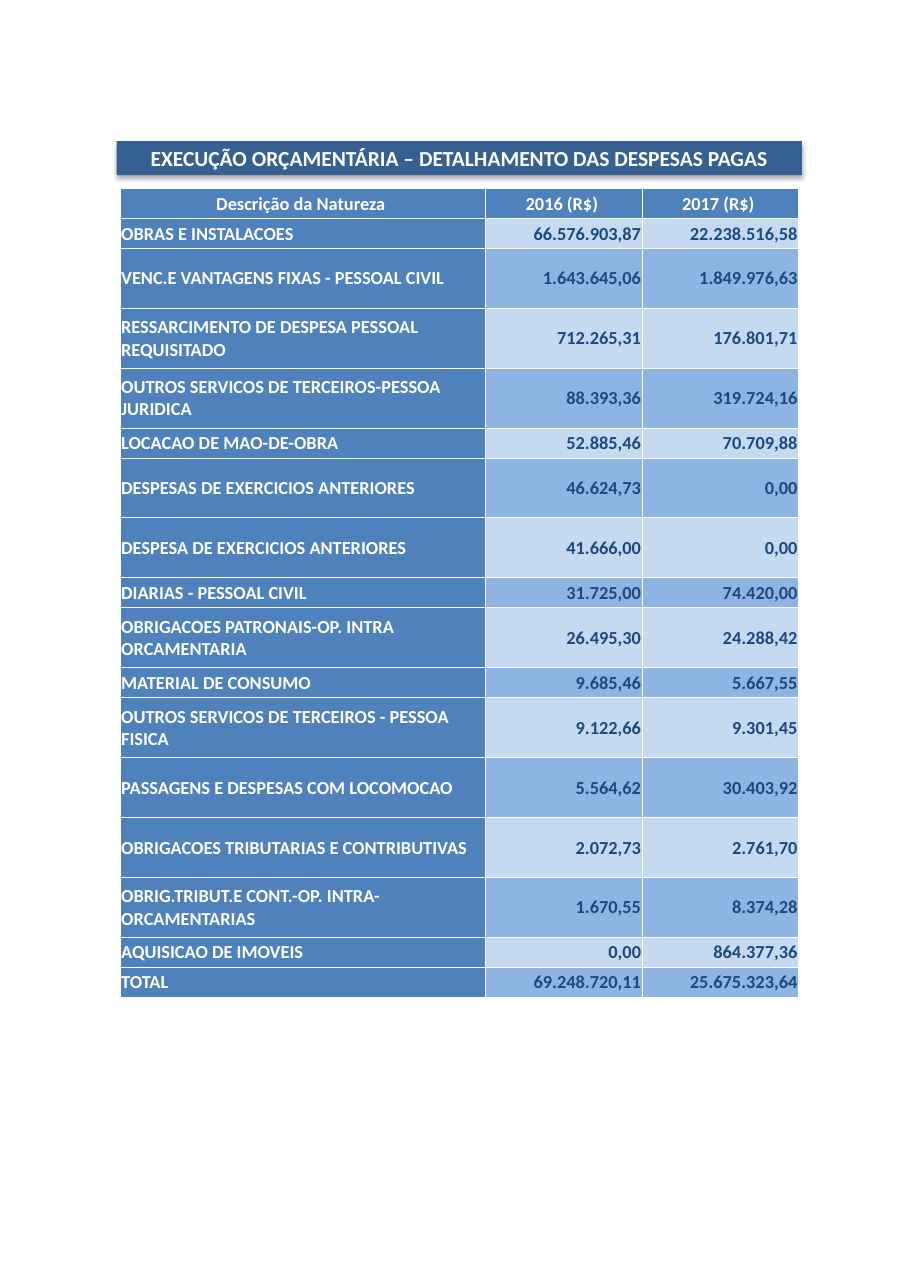
"""Build a one-page budget table of paid expenses for 2016 and 2017."""
import dataclasses

import lxml.etree
import pptx
import pptx.dml.color
import pptx.enum.shapes
import pptx.enum.text
import pptx.oxml
import pptx.oxml.ns
import pptx.util

Inches = pptx.util.Inches
Align = pptx.enum.text.PP_ALIGN
MIDDLE = pptx.enum.text.MSO_ANCHOR.MIDDLE

WHITE = "FFFFFF"
NAVY = "1F497D"
BLUE = "4F81BD"
BANDS = ("C5D9F1", "8DB4E3")
COLUMN_WIDTHS = (3.32, 1.42, 1.42)
LINE_HEIGHT = 7.34 / 27
LONG_NAME = 30
TITLE = "EXECUÇÃO ORÇAMENTÁRIA – DETALHAMENTO DAS DESPESAS PAGAS"
HEADINGS = ("Descrição da Natureza ", "2016 (R$) ", "2017 (R$) ")


@dataclasses.dataclass(frozen=True)
class Expense:
    """One kind of expense with the amounts paid in both years."""
    name: str
    paid_2016: str
    paid_2017: str


@dataclasses.dataclass(frozen=True)
class CellStyle:
    """Fill, text colour and alignment of a table cell."""
    fill: str
    color: str
    alignment: Align


EXPENSES = (
    Expense("OBRAS E INSTALACOES", "66.576.903,87", "22.238.516,58"),
    Expense("VENC.E VANTAGENS FIXAS - PESSOAL CIVIL", "1.643.645,06", "1.849.976,63"),
    Expense("RESSARCIMENTO DE DESPESA PESSOAL REQUISITADO", "712.265,31", "176.801,71"),
    Expense("OUTROS SERVICOS DE TERCEIROS-PESSOA JURIDICA", "88.393,36", "319.724,16"),
    Expense("LOCACAO DE MAO-DE-OBRA", "52.885,46", "70.709,88"),
    Expense("DESPESAS DE EXERCICIOS ANTERIORES", "46.624,73", "0,00"),
    Expense("DESPESA DE EXERCICIOS ANTERIORES", "41.666,00", "0,00"),
    Expense("DIARIAS - PESSOAL CIVIL", "31.725,00", "74.420,00"),
    Expense("OBRIGACOES PATRONAIS-OP. INTRA ORCAMENTARIA", "26.495,30", "24.288,42"),
    Expense("MATERIAL DE CONSUMO", "9.685,46", "5.667,55"),
    Expense("OUTROS SERVICOS DE TERCEIROS - PESSOA FISICA", "9.122,66", "9.301,45"),
    Expense("PASSAGENS E DESPESAS COM LOCOMOCAO", "5.564,62", "30.403,92"),
    Expense("OBRIGACOES TRIBUTARIAS E CONTRIBUTIVAS", "2.072,73", "2.761,70"),
    Expense("OBRIG.TRIBUT.E CONT.-OP. INTRA-ORCAMENTARIAS", "1.670,55", "8.374,28"),
    Expense("AQUISICAO DE IMOVEIS", "0,00", "864.377,36"),
    Expense("TOTAL", "69.248.720,11", "25.675.323,64"),
)
HEADING_STYLE = CellStyle(BLUE, WHITE, Align.CENTER)
NAME_STYLE = CellStyle(BLUE, WHITE, Align.LEFT)


def rgb(value: str) -> pptx.dml.color.RGBColor:
    """Turn a hex string into a colour."""
    return pptx.dml.color.RGBColor.from_string(value)


def apply(target: object, values: dict) -> None:
    """Set attributes from a dict of format values."""
    for name, value in values.items():
        setattr(target, name, value)


def paint(target: object, color: str) -> None:
    """Fill a shape or a cell with a solid colour."""
    target.fill.solid()
    target.fill.fore_color.rgb = rgb(color)


def write(frame: object, text: str, size: float, color: str, alignment: Align) -> None:
    """Write one bold paragraph into a text frame."""
    para = frame.paragraphs[0]
    para.alignment = alignment
    span = para.add_run()
    span.text = text
    apply(span.font, {"name": "Calibri", "size": pptx.util.Pt(size), "bold": True})
    span.font.color.rgb = rgb(color)


def add_shadow(shape: object) -> None:
    """Give a shape a soft shadow falling downwards."""
    shape.shadow.inherit = False
    effects = shape._element.spPr.find(pptx.oxml.ns.qn("a:effectLst"))
    effects.append(pptx.oxml.parse_xml(
        f'<a:outerShdw {pptx.oxml.ns.nsdecls("a")} blurRad="44450" dist="27940" '
        'dir="5400000" rotWithShape="0"><a:srgbClr val="000000">'
        '<a:alpha val="32000"/></a:srgbClr></a:outerShdw>'))


def add_borders(cell: object) -> None:
    """Draw thin white lines on the four sides of a cell."""
    properties = cell._tc.get_or_add_tcPr()
    for side in ("lnL", "lnR", "lnT", "lnB"):
        line = lxml.etree.SubElement(properties, pptx.oxml.ns.qn(f"a:{side}"), w="6350")
        fill = lxml.etree.SubElement(line, pptx.oxml.ns.qn("a:solidFill"))
        lxml.etree.SubElement(fill, pptx.oxml.ns.qn("a:srgbClr"), val=WHITE)


def fill_cell(cell: object, text: str, style: CellStyle) -> None:
    """Format one table cell and write its text."""
    add_borders(cell)
    paint(cell, style.fill)
    margin = Inches(0.01)
    apply(cell, {"margin_left": margin, "margin_right": margin, "margin_top": margin,
                 "margin_bottom": 0, "vertical_anchor": MIDDLE})
    write(cell.text_frame, text, 12, style.color, style.alignment)


def add_title(page: object) -> None:
    """Draw the title bar."""
    bar = page.shapes.add_shape(pptx.enum.shapes.MSO_SHAPE.RECTANGLE, Inches(1.06),
                                Inches(1.28), Inches(6.22), Inches(0.31))
    paint(bar, "376092")
    bar.line.fill.background()
    add_shadow(bar)
    apply(bar.text_frame, {"word_wrap": True, "vertical_anchor": MIDDLE,
                           "margin_top": 0, "margin_bottom": 0})
    write(bar.text_frame, TITLE, 14, WHITE, Align.CENTER)


def add_expenses(page: object) -> None:
    """Draw the expense table, with double height for long names."""
    frame = page.shapes.add_table(len(EXPENSES) + 1, len(COLUMN_WIDTHS), Inches(1.09),
                                  Inches(1.71), Inches(sum(COLUMN_WIDTHS)), Inches(7.34))
    table = frame.table
    table.horz_banding = False
    for column, width in zip(table.columns, COLUMN_WIDTHS):
        column.width = Inches(width)
    table.rows[0].height = Inches(LINE_HEIGHT)
    for column, heading in enumerate(HEADINGS):
        fill_cell(table.cell(0, column), heading, HEADING_STYLE)
    for row, expense in enumerate(EXPENSES, start=1):
        lines = 2 if len(expense.name) > LONG_NAME else 1
        table.rows[row].height = Inches(LINE_HEIGHT * lines)
        amount_style = CellStyle(BANDS[(row - 1) % 2], NAVY, Align.RIGHT)
        styles = (NAME_STYLE, amount_style, amount_style)
        for column, (text, style) in enumerate(zip(dataclasses.astuple(expense), styles)):
            fill_cell(table.cell(row, column), text, style)


def main() -> None:
    """Build and save the deck."""
    deck = pptx.Presentation()
    apply(deck, {"slide_width": Inches(8.27), "slide_height": Inches(11.69)})
    page = deck.slides.add_slide(deck.slide_layouts[6])
    add_title(page)
    add_expenses(page)
    deck.save("out.pptx")


if __name__ == "__main__":
    main()
